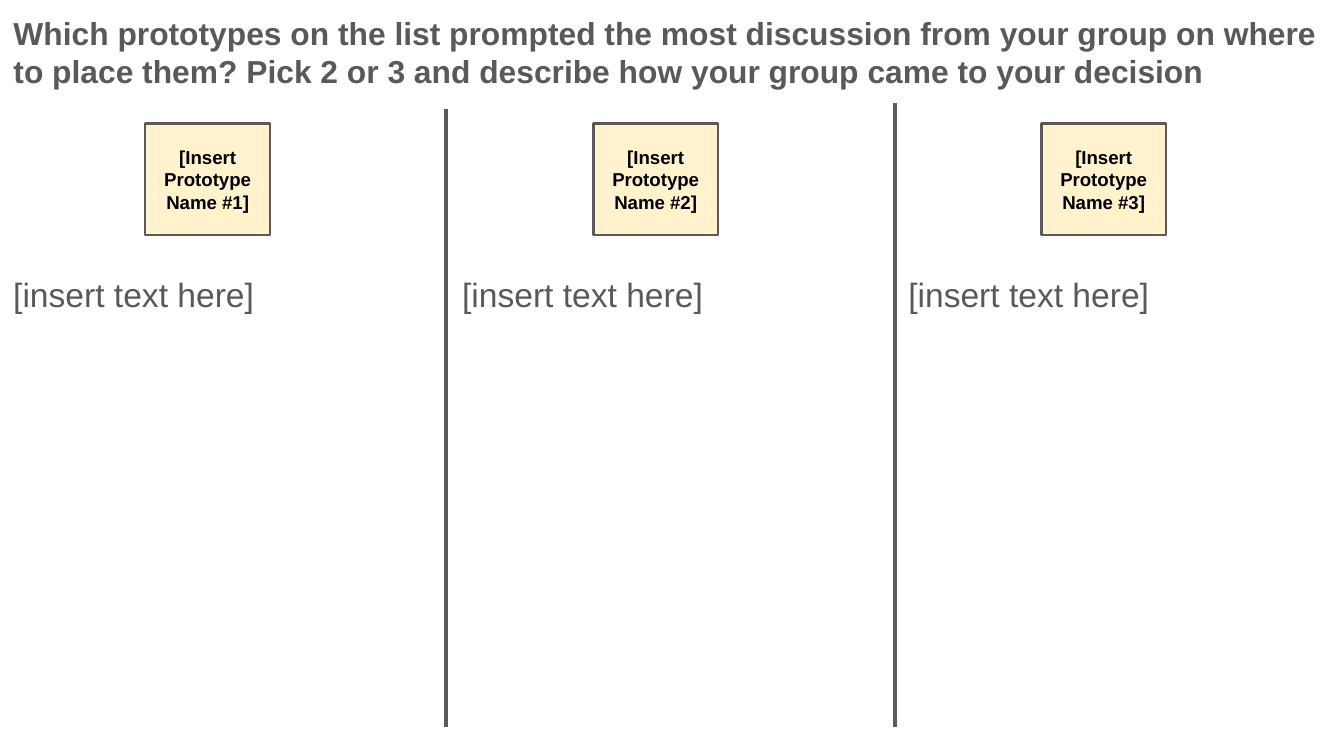
from lxml import etree
from pptx import Presentation
from pptx.dml.color import RGBColor
from pptx.enum import shapes, text
from pptx.oxml import ns
from pptx.util import Inches, Pt

GREY, CREAM, BLACK = "595959", "FFF2CC", "000000"
SLIDE_WIDTH = 10
SLIDE_HEIGHT = SLIDE_WIDTH * 9 / 16
ANSWER_LEFTS = (0, 3.34, 6.66)
CARD_LEFT, CARD_PITCH = 1.08, SLIDE_WIDTH / 3
DIVIDERS = ((3.32, 0.81), (6.66, 0.77))
DIVIDER_BOTTOM = 5.41
QUESTION = (
    "Which prototypes on the list prompted the most discussion from your group "
    "on where to place them? Pick 2 or 3 and describe how your group came to your decision"
)


def rgb(value):
    """Turn a hex string into a colour."""
    return RGBColor.from_string(value)


def write(shape, words, size, color, bold=False,
          align=text.PP_ALIGN.LEFT, anchor=text.MSO_ANCHOR.TOP):
    """Fill a shape with one formatted paragraph."""
    frame = shape.text_frame
    frame.text = words
    frame.word_wrap = True
    frame.auto_size = text.MSO_AUTO_SIZE.NONE
    frame.vertical_anchor = anchor
    frame.margin_left = frame.margin_right = Inches(0.1)
    frame.margin_top = frame.margin_bottom = Inches(0.1)
    paragraph = frame.paragraphs[0]
    paragraph.alignment = align
    paragraph.line_spacing = 1.0
    paragraph.space_before = Pt(0)
    font = paragraph.runs[0].font
    font.name, font.size, font.bold = "Arial", Pt(size), bold
    font.color.rgb = rgb(color)


def add_question(slide, left, top, width, height):
    """Place the question in the title placeholder."""
    question = slide.shapes.title
    question.left, question.top = Inches(left), Inches(top)
    question.width, question.height = Inches(width), Inches(height)
    write(question, QUESTION, 17, GREY, bold=True)


def add_answer(slide, left, top, width, height):
    """Place the answer area of one column."""
    answer = slide.shapes.add_textbox(
        Inches(left), Inches(top), Inches(width), Inches(height))
    write(answer, "[insert text here]", 18, GREY)


def add_card(slide, number, left, top, width, height):
    """Place a numbered prototype card."""
    card = slide.shapes.add_shape(
        shapes.MSO_SHAPE.RECTANGLE,
        Inches(left), Inches(top), Inches(width), Inches(height))
    card.shadow.inherit = False
    card.fill.solid()
    card.fill.fore_color.rgb = rgb(CREAM)
    card.line.color.rgb = rgb(GREY)
    card.line.width = Pt(1.5)
    write(card, f"[Insert Prototype Name #{number}]", 10, BLACK, bold=True,
          align=text.PP_ALIGN.CENTER, anchor=text.MSO_ANCHOR.MIDDLE)


def add_divider(slide, x, top, bottom):
    """Draw a vertical line between two columns."""
    divider = slide.shapes.add_connector(
        shapes.MSO_CONNECTOR.STRAIGHT,
        Inches(x), Inches(top), Inches(x), Inches(bottom))
    divider.line.color.rgb = rgb(GREY)
    divider.line.width = Pt(2.25)
    etree.SubElement(divider._element.spPr, ns.qn("a:effectLst"))


def main():
    """Build the discussion slide and save it."""
    deck = Presentation()
    deck.slide_width, deck.slide_height = Inches(SLIDE_WIDTH), Inches(SLIDE_HEIGHT)
    slide = deck.slides.add_slide(deck.slide_layouts.get_by_name("Title Only"))
    add_question(slide, 0, 0, SLIDE_WIDTH, 0.51)
    for left in ANSWER_LEFTS:
        add_answer(slide, left, 1.94, 3.32, 3.69)
    for column in range(len(ANSWER_LEFTS)):
        add_card(slide, column + 1, CARD_LEFT + column * CARD_PITCH, 0.92, 0.93, 0.83)
    for x, top in DIVIDERS:
        add_divider(slide, x, top, DIVIDER_BOTTOM)
    deck.save("out.pptx")


if __name__ == "__main__":
    main()
